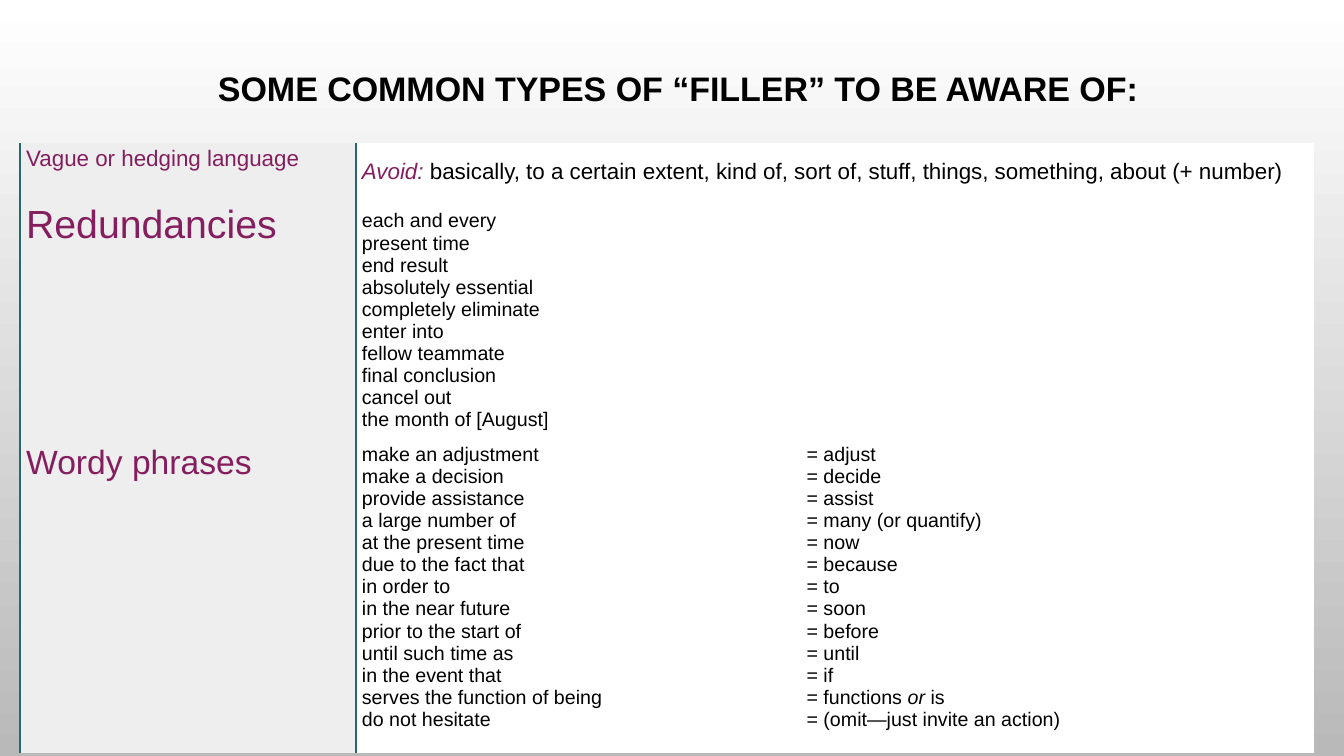
import pptx
import pptx.dml.color
import pptx.enum.text
import pptx.oxml
import pptx.oxml.ns
import pptx.util
from pptx.util import Inches

PLUM, TEAL, BLACK = "851E5E", "26686D", "000000"
LABEL_FILL, CONTENT_FILL = "EEEEEE", "FFFFFF"
MIDDLE = pptx.enum.text.MSO_ANCHOR.MIDDLE
TOP = pptx.enum.text.MSO_ANCHOR.TOP


def color(value):
    return pptx.dml.color.RGBColor.from_string(value)


def add_text(paragraph, text, size, text_color, bold=False, italic=False):
    """Add one run per line, with line breaks between them."""
    for number, line in enumerate(text.split("\n")):
        if number:
            paragraph.add_line_break()
        if not line:
            continue
        run = paragraph.add_run()
        run.text = line
        run.font.name = "Arial"
        run.font.size = pptx.util.Pt(size)
        run.font.bold = bold
        run.font.italic = italic
        run.font.color.rgb = color(text_color)


presentation = pptx.Presentation()
presentation.slide_width = Inches(13.33)
presentation.slide_height = Inches(7.5)
slide = presentation.slides.add_slide(presentation.slide_layouts[6])

background = slide.background.fill
background.gradient()
background.gradient_angle = 270
for stop, stop_color in zip(background.gradient_stops, ("FFFFFF", "B9B9B9")):
    stop.color.rgb = color(stop_color)

title = slide.shapes.add_textbox(Inches(1), Inches(0.68), Inches(11.33), Inches(0.74))
title_frame = title.text_frame
title_frame.word_wrap = True
title_frame.vertical_anchor = TOP
title_frame.margin_top = Inches(0.04)
title_frame.margin_left = Inches(0.22)
title_frame.margin_right = Inches(0.1)
title_paragraph = title_frame.paragraphs[0]
title_paragraph.alignment = pptx.enum.text.PP_ALIGN.CENTER
title_paragraph.line_spacing = 0.9
add_text(title_paragraph, "SOME COMMON TYPES OF “FILLER” TO BE AWARE OF:", 24.3, BLACK, bold=True)

redundancies = """each and every
present time
end result
absolutely essential
completely eliminate
enter into
fellow teammate
final conclusion
cancel out
the month of [August]"""

wordy_phrases = """make an adjustment
make a decision
provide assistance
a large number of
at the present time
due to the fact that
in order to
in the near future
prior to the start of
until such time as
in the event that
serves the function of being
do not hesitate"""

replacements = """= adjust
= decide
= assist
= many (or quantify)
= now
= because
= to
= soon
= before
= until
= if
= functions """

vague_words = "basically, to a certain extent, kind of, sort of, stuff, things, something, about (+ number)"

# Each cell: vertical anchor and its runs (text, size, color, bold, italic)
cells = {
    (0, 0): (TOP, [("Vague or hedging language", 16, PLUM)]),
    (0, 1): (MIDDLE, [("Avoid: ", 16, PLUM, False, True), (vague_words, 16, BLACK)]),
    (1, 0): (TOP, [("Redundancies", 28, PLUM)]),
    (1, 1): (MIDDLE, [(redundancies, 14, BLACK)]),
    (2, 0): (TOP, [("Wordy phrases", 24, PLUM)]),
    (2, 1): (TOP, [(wordy_phrases, 14, BLACK)]),
    (2, 2): (TOP, [(replacements, 14, BLACK),
                   ("or", 14, BLACK, False, True),
                   (" is\n= (omit—just invite an action)", 14, BLACK)]),
}
column_widths = (3.33, 4.41, 5.09)
row_heights = (0.56, 2.32, 3)
column_borders = (("lnL", "lnR"), ("lnL",), ())

table = slide.shapes.add_table(3, 3, Inches(0.2), Inches(1.42), Inches(12.83), Inches(5.88)).table
table.first_row = False
table.horz_banding = False
for column, width in zip(table.columns, column_widths):
    column.width = Inches(width)
for row, height in zip(table.rows, row_heights):
    row.height = Inches(height)
for row_index in (0, 1):
    table.cell(row_index, 1).merge(table.cell(row_index, 2))

namespace = pptx.oxml.ns.nsdecls("a")
for row_index in range(3):
    for column_index, borders in enumerate(column_borders):
        cell = table.cell(row_index, column_index)
        properties = cell._tc.get_or_add_tcPr()
        for side in ("lnL", "lnR", "lnT", "lnB"):
            line = "<a:noFill/>"
            if side in borders:
                line = f'<a:solidFill><a:srgbClr val="{TEAL}"/></a:solidFill>'
            properties.append(pptx.oxml.parse_xml(
                f'<a:{side} {namespace} w="{pptx.util.Pt(1.5)}">{line}</a:{side}>'))
        cell.fill.solid()
        cell.fill.fore_color.rgb = color(CONTENT_FILL if column_index else LABEL_FILL)
        if (row_index, column_index) not in cells:
            continue
        anchor, runs = cells[row_index, column_index]
        cell.vertical_anchor = anchor
        cell.margin_left = cell.margin_right = Inches(0.06)
        cell.margin_top = cell.margin_bottom = Inches(0.03)
        for run_settings in runs:
            add_text(cell.text_frame.paragraphs[0], *run_settings)

presentation.save("out.pptx")
